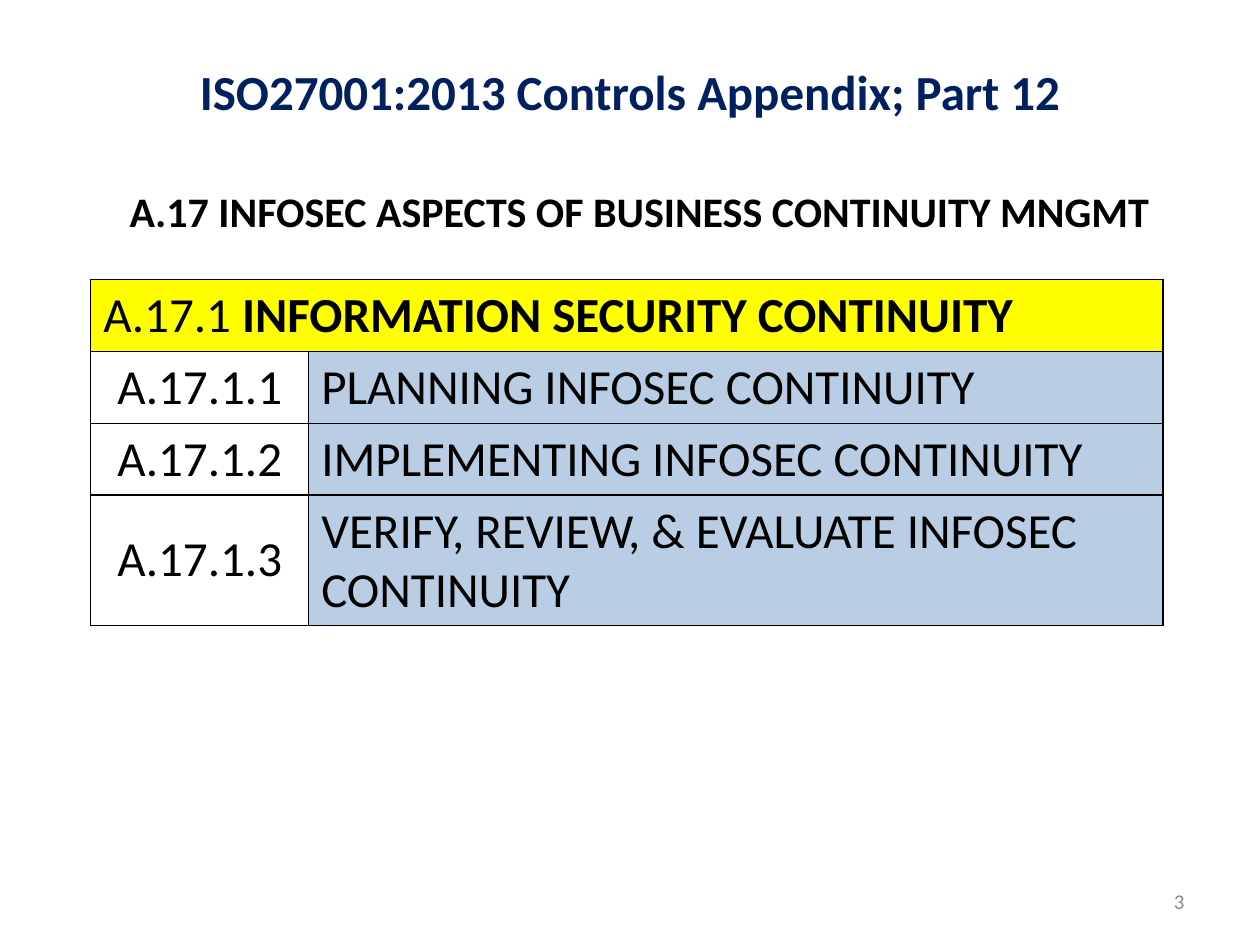
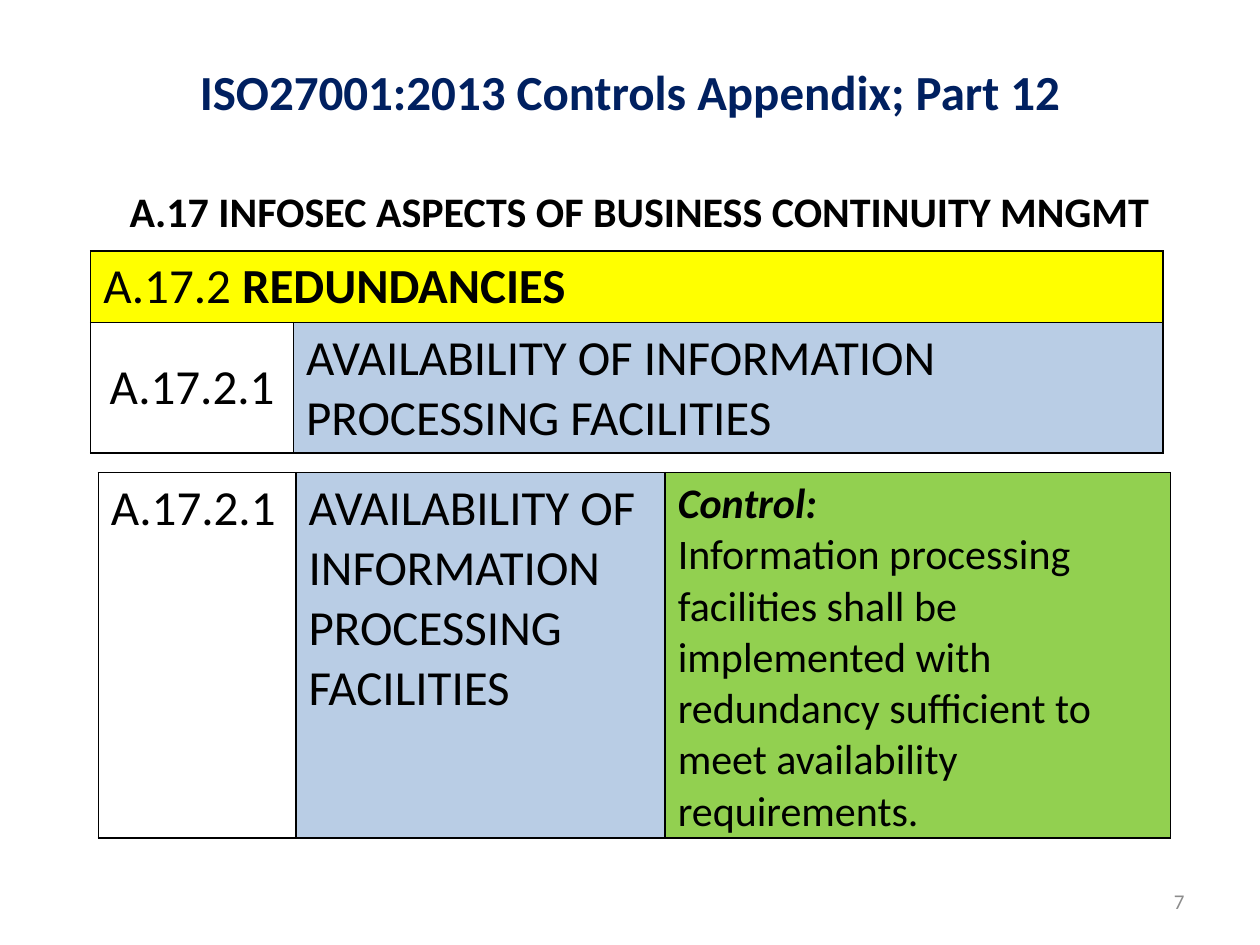
from lxml import etree
from pptx import Presentation
from pptx import util as u
from pptx.dml.color import RGBColor
from pptx.enum import text
from pptx.oxml import ns

COLOURS = {
    "title": "002060",
    "body": "000000",
    "number": "8C8C8C",
    "group": "FFFF00",
    "control_name": "B9CDE5",
    "control_text": "92D050",
}
FONT = "Calibri"
PART_TITLE = "ISO27001:2013 Controls Appendix; Part 12"
SECTION = "A.17 INFOSEC ASPECTS OF BUSINESS CONTINUITY MNGMT"
LINE_HEIGHT = {1: 0.57, 2: 1.03}
TABLE_WIDTH = 8.51


def colour(key):
    """Return the RGB colour stored under a key."""
    return RGBColor.from_string(COLOURS[key])


def write(frame, paragraphs, align=text.PP_ALIGN.LEFT, **base):
    """Fill a text frame with paragraphs, each a list of (words, format) runs."""
    for index, runs in enumerate(paragraphs):
        paragraph = frame.add_paragraph() if index else frame.paragraphs[0]
        paragraph.alignment = align
        for words, own in runs:
            run = paragraph.add_run()
            run.text = words
            look = {"name": FONT, "size": 28, "bold": False, "italic": False,
                    "color": "body", **base, **own}
            run.font.color.rgb = colour(look.pop("color"))
            look["size"] = u.Pt(look["size"])
            for attribute, value in look.items():
                setattr(run.font, attribute, value)


def add_label(slide, box, words, align=text.PP_ALIGN.LEFT,
              anchor=text.MSO_ANCHOR.MIDDLE, wrap=True, **look):
    """Place one line of text in a box."""
    frame = slide.shapes.add_textbox(*map(u.Inches, box)).text_frame
    frame.word_wrap = wrap
    frame.vertical_anchor = anchor
    write(frame, [[(words, look)]], align)


def outline(cell):
    """Draw a thin black line on all four sides of a cell."""
    properties = cell._tc.get_or_add_tcPr()
    for position, side in enumerate(("lnL", "lnR", "lnT", "lnB")):
        line = etree.Element(ns.qn(f"a:{side}"), w=str(u.Pt(1)))
        fill = etree.SubElement(line, ns.qn("a:solidFill"))
        etree.SubElement(fill, ns.qn("a:srgbClr"), val=COLOURS["body"])
        properties.insert(position, line)


def fill_cell(cell, paragraphs, fill=None, anchor=text.MSO_ANCHOR.TOP,
              align=text.PP_ALIGN.LEFT):
    """Write a cell and set its fill."""
    write(cell.text_frame, paragraphs, align)
    cell.vertical_anchor = anchor
    if fill:
        cell.fill.solid()
        cell.fill.fore_color.rgb = colour(fill)
    else:
        cell.fill.background()


def add_grid(slide, left, top, widths, heights):
    """Add a plain outlined table with the given columns and rows."""
    size = (left, top, sum(widths), sum(heights))
    grid = slide.shapes.add_table(
        len(heights), len(widths), *map(u.Inches, size)).table
    grid.first_row = grid.horz_banding = False
    for column, width in zip(grid.columns, widths):
        column.width = u.Inches(width)
    for row, height in zip(grid.rows, heights):
        row.height = u.Inches(height)
    for cell in grid.iter_cells():
        outline(cell)
    return grid


def add_group_table(slide, top, code_width, group, controls):
    """List the controls of a group below its yellow heading row."""
    heights = [LINE_HEIGHT[1]] + [LINE_HEIGHT[lines] for *_, lines in controls]
    grid = add_grid(slide, 0.72, top, [code_width, TABLE_WIDTH - code_width], heights)
    heading = grid.cell(0, 0)
    heading.merge(grid.cell(0, 1))
    code, name = group
    fill_cell(heading, [[(code + " ", {}), (name, {"bold": True})]], "group")
    middle = text.MSO_ANCHOR.MIDDLE
    for row, (code, name, _) in enumerate(controls, 1):
        fill_cell(grid.cell(row, 0), [[(code, {})]], None, middle, text.PP_ALIGN.CENTER)
        fill_cell(grid.cell(row, 1), [[(name, {})]], "control_name", middle)


def add_control_table(slide, top, code, name, requirement):
    """Show one control with its full requirement."""
    grid = add_grid(slide, 0.78, top, [1.57, 2.93, 4.01], [2.9])
    fill_cell(grid.cell(0, 0), [[(code, {})]])
    fill_cell(grid.cell(0, 1), [[(name, {})]], "control_name")
    fill_cell(grid.cell(0, 2), [
        [("Control:", {"size": 24, "bold": True, "italic": True})],
        [(requirement, {"size": 24})],
    ], "control_text")


def add_section_slide(deck, number):
    """Add a slide with the shared title, section line and page number."""
    slide = deck.slides.add_slide(deck.slide_layouts[6])
    add_label(slide, (7.17, 6.95, 2.33, 0.4), str(number), text.PP_ALIGN.RIGHT,
              size=12, color="number")
    add_label(slide, (0.5, 0.23, 9, 0.98), PART_TITLE, text.PP_ALIGN.CENTER,
              bold=True, color="title")
    add_label(slide, (0.93, 1.42, 8.37, 0.5), SECTION,
              anchor=text.MSO_ANCHOR.TOP, wrap=False, size=24, bold=True)
    return slide


def main():
    """Build and save the two slides."""
    deck = Presentation()
    deck.slide_width, deck.slide_height = u.Inches(10), u.Inches(7.5)

    continuity = add_section_slide(deck, 3)
    add_group_table(continuity, 2.22, 1.73, ("A.17.1", "INFORMATION SECURITY CONTINUITY"), [
        ("A.17.1.1", "PLANNING INFOSEC CONTINUITY", 1),
        ("A.17.1.2", "IMPLEMENTING INFOSEC CONTINUITY", 1),
        ("A.17.1.3", "VERIFY, REVIEW, & EVALUATE INFOSEC CONTINUITY", 2),
    ])

    redundancies = add_section_slide(deck, 7)
    availability = ("A.17.2.1", "AVAILABILITY OF INFORMATION PROCESSING FACILITIES")
    add_group_table(redundancies, 1.99, 1.61, ("A.17.2", "REDUNDANCIES"),
                    [(*availability, 2)])
    add_control_table(
        redundancies, 3.75, *availability,
        "Information processing facilities shall be implemented with "
        "redundancy sufficient to meet availability requirements.")

    deck.save("out.pptx")


if __name__ == "__main__":
    main()
